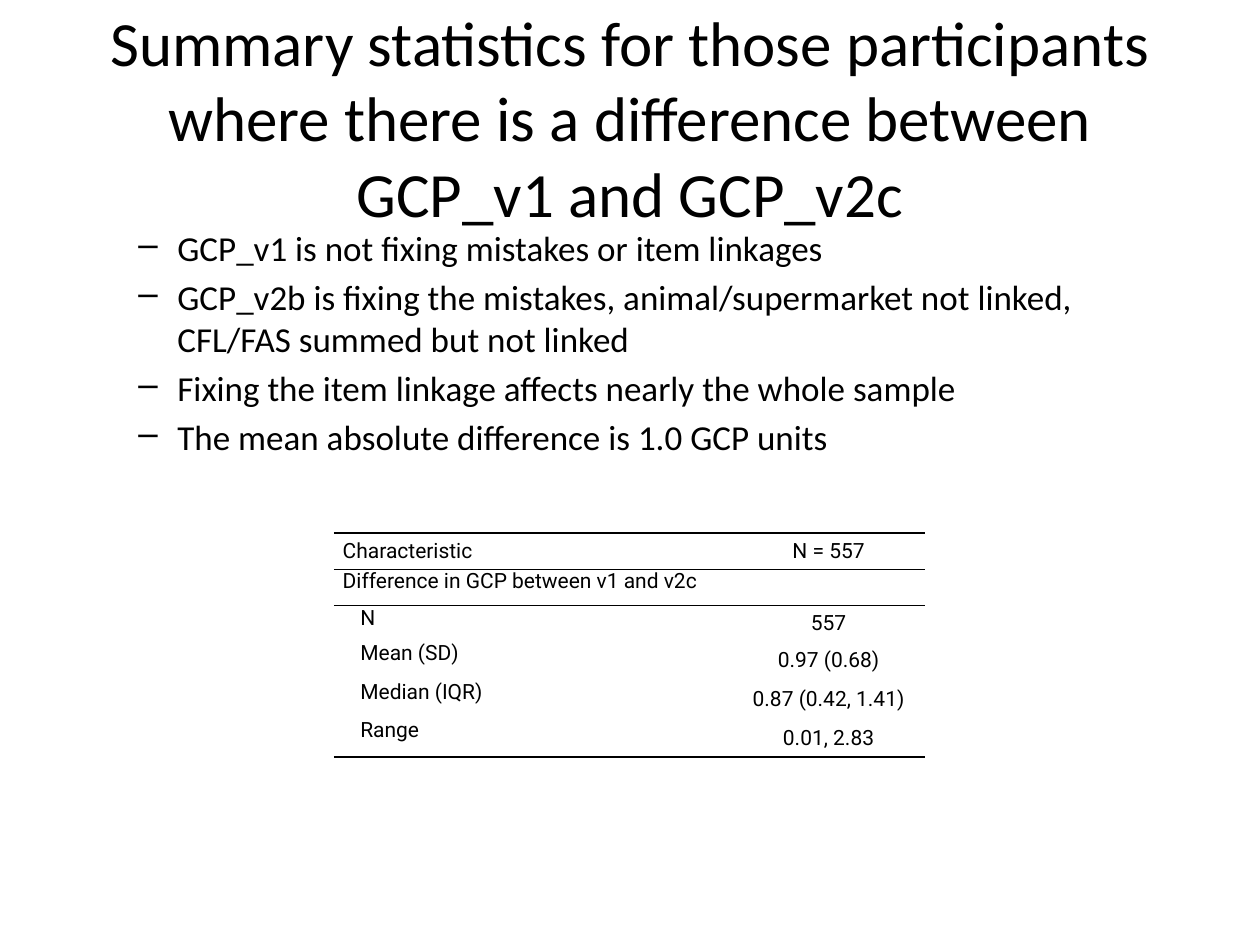
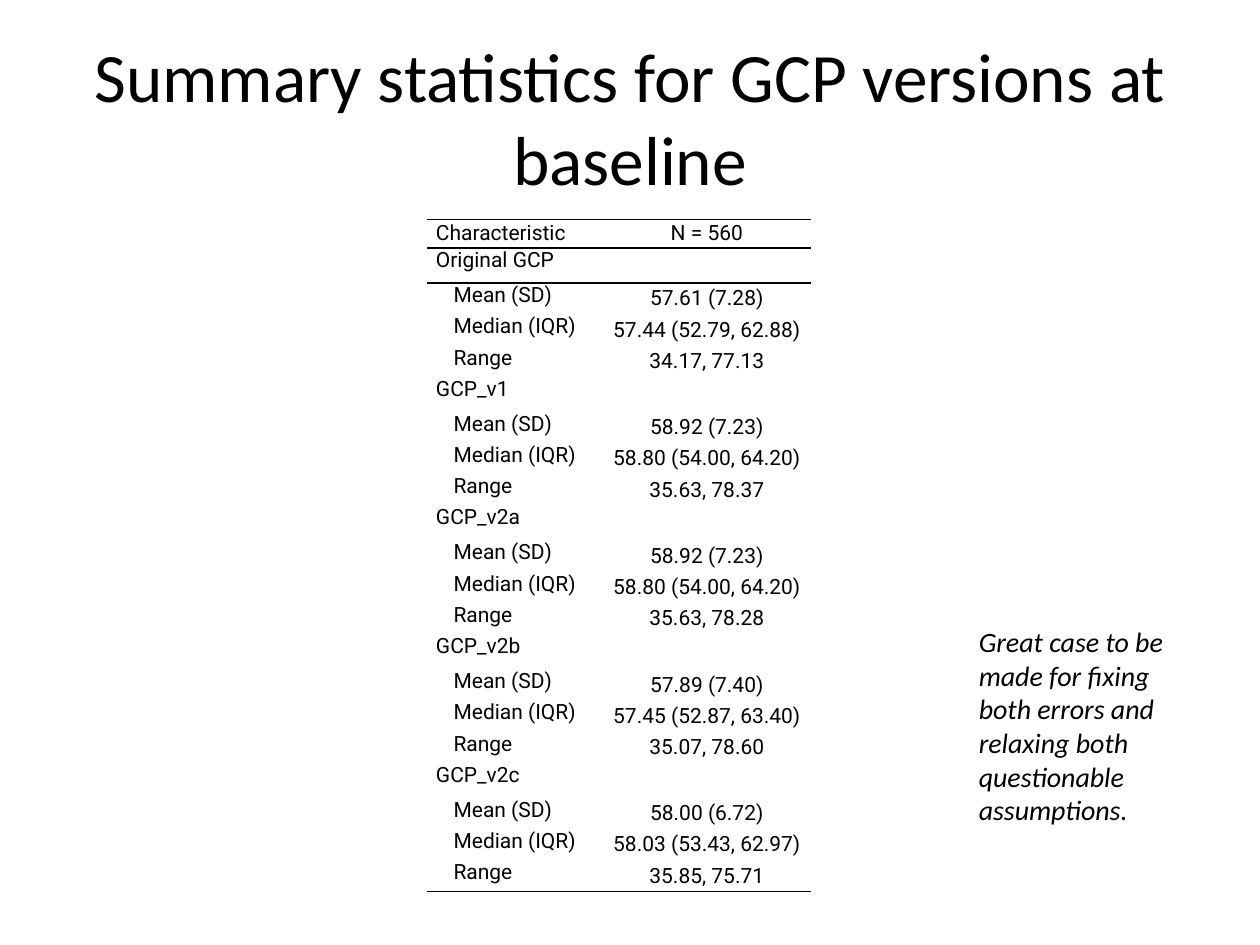
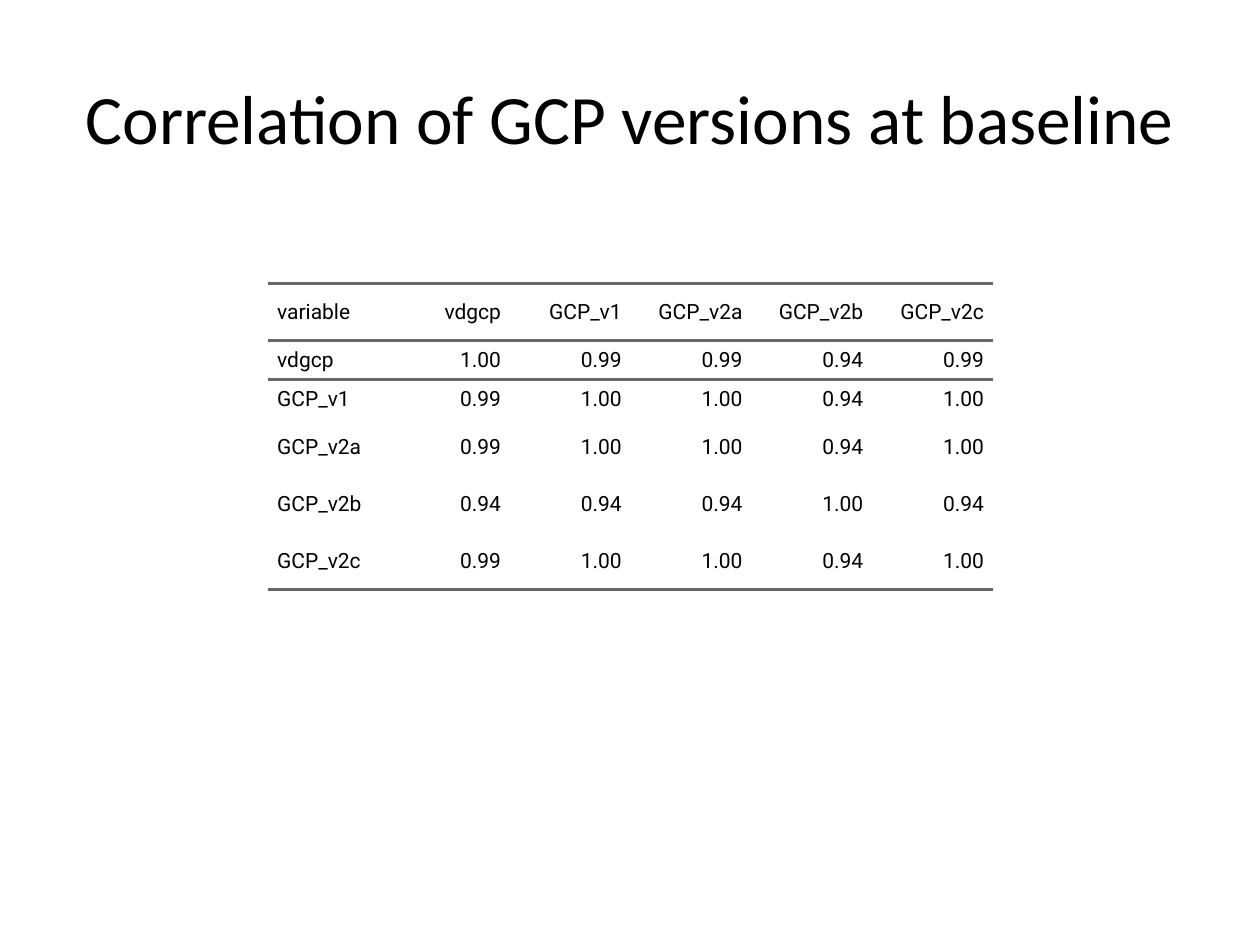
from dataclasses import dataclass

from lxml import etree
from pptx import Presentation
from pptx import util as u
from pptx.dml.color import RGBColor
from pptx.enum import text
from pptx.oxml.ns import qn


@dataclass(frozen=True)
class Theme:
    ink: str = "000000"
    rule: str = "666666"
    face: str = "Calibri"
    table_face: str = "Roboto"
    title: float = 39.6
    long_title: float = 36
    bullet: float = 20
    note: float = 16
    cell: float = 12
    pad: float = 0.07
    indent: float = 0.21
    plain_table: str = "{2D5ABB26-0587-4C30-8999-92F81FD0307C}"


T = Theme()
LEFT, CENTER, RIGHT = text.PP_ALIGN.LEFT, text.PP_ALIGN.CENTER, text.PP_ALIGN.RIGHT
TOP, MIDDLE = text.MSO_ANCHOR.TOP, text.MSO_ANCHOR.MIDDLE

prs = Presentation()
prs.slide_width, prs.slide_height = u.Inches(10), u.Inches(7.5)
COLUMN, ROW = prs.slide_width / 100, prs.slide_height / 75
TITLE_BOX = (5, 3, 90, 12.5)


def on_grid(box):
    x, y, w, h = box
    return [round(n) for n in (x * COLUMN, y * ROW, w * COLUMN, h * ROW)]


def add_run(p, words, size, face=T.face, italic=None):
    r = p.add_run()
    r.text = words
    r.font.size, r.font.name, r.font.italic = u.Pt(size), face, italic
    r.font.color.rgb = RGBColor.from_string(T.ink)


def text_frame(s, box, anchor=TOP):
    tf = s.shapes.add_textbox(*on_grid(box)).text_frame
    tf.word_wrap = True
    tf.vertical_anchor = anchor
    return tf


def set_indent(p, left, right=0, first=0):
    pPr = p._p.get_or_add_pPr()
    for name, inches in (("marL", left), ("marR", right), ("indent", first)):
        pPr.set(name, str(u.Inches(inches)))
    return pPr


def titled_slide(title, size=T.title):
    s = prs.slides.add_slide(prs.slide_layouts[6])
    p = text_frame(s, TITLE_BOX, MIDDLE).paragraphs[0]
    p.alignment = CENTER
    add_run(p, title, size)
    return s


def bullet_list(s, box, items):
    tf = text_frame(s, box)
    for i, item in enumerate(items):
        p = tf.add_paragraph() if i else tf.paragraphs[0]
        p.space_before = u.Pt(T.bullet * 0.2)
        pPr = set_indent(p, 0.81, first=-0.31)
        etree.SubElement(pPr, qn("a:buChar")).set("char", "–")
        add_run(p, item, T.bullet)


def side_note(s, box, words):
    p = text_frame(s, box).paragraphs[0]
    p.space_before = u.Pt(T.note * 0.2)
    add_run(p, words, T.note, italic=True)


def add_rule(cell, side, color, width):
    ln = etree.Element(qn("a:ln" + side), w=str(u.Pt(width)))
    fill = etree.SubElement(ln, qn("a:solidFill"))
    etree.SubElement(fill, qn("a:srgbClr")).set("val", color)
    cell._tc.get_or_add_tcPr().insert(0, ln)


def fill_cell(cell, words, align, anchor, indent, gap):
    cell.fill.background()
    cell.margin_left = cell.margin_right = cell.margin_top = cell.margin_bottom = 0
    cell.vertical_anchor = anchor
    p = cell.text_frame.paragraphs[0]
    if not words:
        p._p.get_or_add_endParaRPr().set("sz", str(T.cell * 100))
        return
    p.alignment = align
    p.space_before = p.space_after = u.Pt(gap)
    set_indent(p, indent, T.pad)
    add_run(p, words, T.cell, T.table_face)


def ruled_table(s, box, rows, widths, heights, style, color, width):
    x, y, w, h = on_grid(box)
    table = s.shapes.add_table(len(rows), len(widths), x, y, w, h).table
    table.first_row = table.horz_banding = False
    table._tbl.tblPr.find(qn("a:tableStyleId")).text = T.plain_table
    for column, share in zip(table.columns, widths):
        column.width = round(w * share / sum(widths))
    for row, share in zip(table.rows, heights):
        row.height = round(h * share / sum(heights))
    for i, row in enumerate(rows):
        for j, words in enumerate(row):
            cell = table.cell(i, j)
            fill_cell(cell, words, *style(i, j, row))
            if i in (0, len(rows) - 1):
                add_rule(cell, "B", color, width)
            if i in (0, 1):
                add_rule(cell, "T", color, width)


def summary_style(i, j, row):
    if i == 0:
        return (CENTER if j else LEFT), MIDDLE, T.pad, 2
    if j:
        return CENTER, MIDDLE, T.pad, 5
    return LEFT, TOP, (T.indent if row[1] else T.pad), 5


def summary_table(s, box, count, groups, widths, heights):
    rows = [("Characteristic", f"N = {count}")]
    for name, stats in groups:
        rows += [(name, ""), *stats]
    ruled_table(s, box, rows, widths, heights, summary_style, T.ink, 1)


def matrix_style(i, j, row):
    return (RIGHT if j else LEFT), MIDDLE, T.pad, 5


def correlation_table(s, box, names, values, heights):
    rows = [["variable", *names]]
    rows += [[name, *(f"{v:.2f}" for v in line)] for name, line in zip(names, values)]
    ruled_table(s, box, rows, [1] * len(rows[0]), heights, matrix_style, T.rule, 2)


def stats(mean, median, value_range):
    return [("Mean (SD)", mean), ("Median (IQR)", median), ("Range", value_range)]


s = titled_slide(
    "Summary statistics for those participants where there is a difference "
    "between GCP_v1 and GCP_v2c", T.long_title)
bullet_list(s, (5, 17.5, 90, 20), [
    "GCP_v1 is not fixing mistakes or item linkages",
    "GCP_v2b is fixing the mistakes, animal/supermarket not linked, "
    "CFL/FAS summed but not linked",
    "Fixing the item linkage affects nearly the whole sample",
    "The mean absolute difference is 1.0 GCP units",
])
difference = [("N", "557"), *stats("0.97 (0.68)", "0.87 (0.42, 1.41)", "0.01, 2.83")]
summary_table(s, (26.5, 42.3, 46.9, 17.8), 557,
              [("Difference in GCP between v1 and v2c", difference)],
              (3.17, 1.53), (0.29, 0.29, 0.28, 0.31, 0.31, 0.31))

s = titled_slide("Summary statistics for GCP versions at baseline")
versions = [
    ("Original GCP", stats("57.61 (7.28)", "57.44 (52.79, 62.88)", "34.17, 77.13")),
    ("GCP_v1", stats("58.92 (7.23)", "58.80 (54.00, 64.20)", "35.63, 78.37")),
    ("GCP_v2a", stats("58.92 (7.23)", "58.80 (54.00, 64.20)", "35.63, 78.28")),
    ("GCP_v2b", stats("57.89 (7.40)", "57.45 (52.87, 63.40)", "35.07, 78.60")),
    ("GCP_v2c", stats("58.00 (6.72)", "58.03 (53.43, 62.97)", "35.85, 75.71")),
]
summary_table(s, (33.9, 17.4, 30.5, 53.4), 560, versions, (1.39, 1.66),
              [0.23] + [0.28, 0.25, 0.25, 0.25] * len(versions))
side_note(s, (76.7, 49.1, 19.3, 21.8),
          "Great case to be made for fixing both errors and relaxing both "
          "questionable assumptions.")

s = titled_slide("Correlation of GCP versions at baseline")
correlation_table(s, (21.3, 22.5, 57.5, 24.3),
                  ["vdgcp", "GCP_v1", "GCP_v2a", "GCP_v2b", "GCP_v2c"], [
                      (1, 0.99, 0.99, 0.94, 0.99),
                      (0.99, 1, 1, 0.94, 1),
                      (0.99, 1, 1, 0.94, 1),
                      (0.94, 0.94, 0.94, 1, 0.94),
                      (0.99, 1, 1, 0.94, 1),
                  ], (0.46, 0.31, 0.31, 0.46, 0.46, 0.45))

prs.save("out.pptx")
